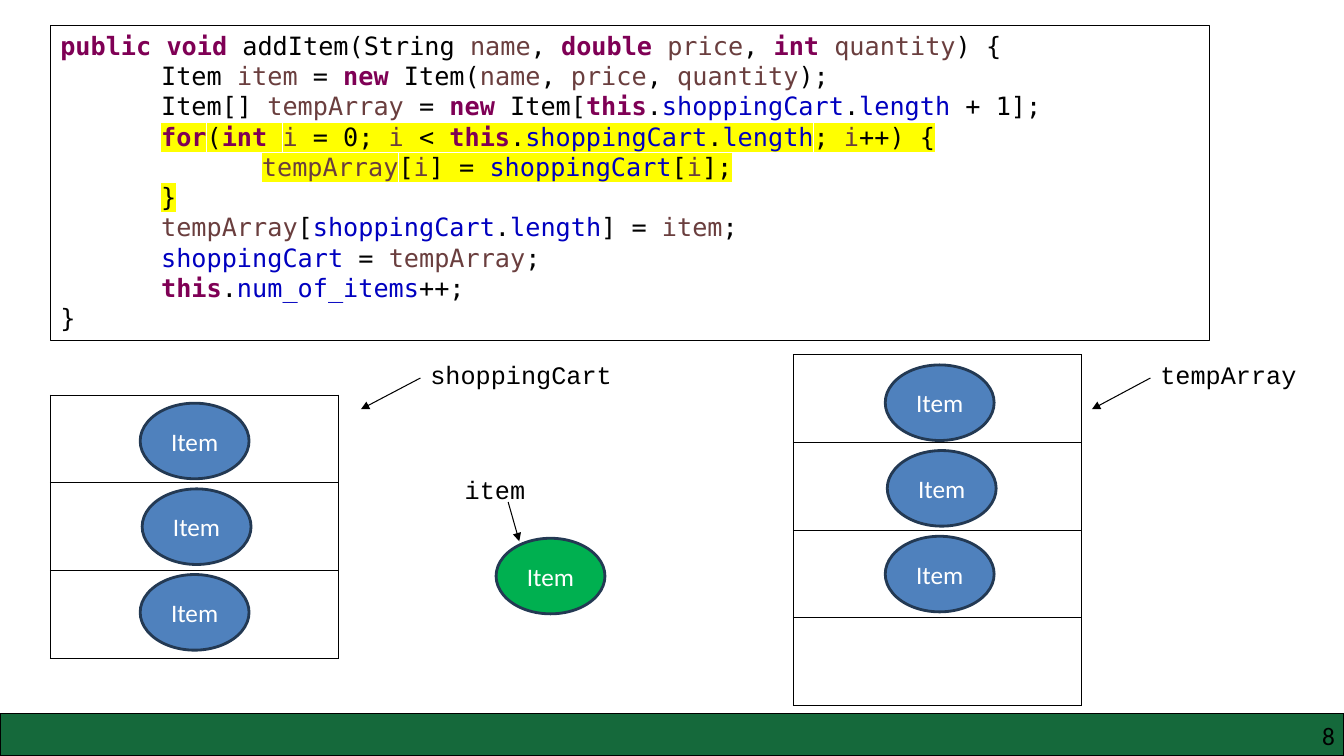
from itertools import groupby

from lxml import etree
from pptx import Presentation
from pptx.dml.color import RGBColor
from pptx.enum.shapes import MSO_CONNECTOR, MSO_SHAPE
from pptx.enum.text import MSO_ANCHOR, PP_ALIGN
from pptx.oxml import parse_xml
from pptx.oxml.ns import qn
from pptx.util import Pt

PX = 9144  # 100 px to the inch
RECT, OVAL = MSO_SHAPE.RECTANGLE, MSO_SHAPE.OVAL
LINE = MSO_CONNECTOR.STRAIGHT
LEFT, CENTER, RIGHT = PP_ALIGN.LEFT, PP_ALIGN.CENTER, PP_ALIGN.RIGHT
TOP, MIDDLE = MSO_ANCHOR.TOP, MSO_ANCHOR.MIDDLE
NS = 'xmlns:a="http://schemas.openxmlformats.org/drawingml/2006/main"'

BLACK, WHITE, YELLOW = "000000", "FFFFFF", "FFFF00"
BLUE, GREEN, NAVY, BAR = "4F81BD", "00B050", "233953", "15693B"
MONO, SANS, LABEL = "DejaVu Sans Mono", "Calibri", "Courier New"
ROW, TAB = 87, 100

CODE = """public void addItem(String name, double price, int quantity) {
\tItem item = new Item(name, price, quantity);
\tItem[] tempArray = new Item[this.shoppingCart.length + 1];
\tfor(int i = 0; i < this.shoppingCart.length; i++) {
\t\ttempArray[i] = shoppingCart[i];
\t}
\ttempArray[shoppingCart.length] = item;
\tshoppingCart = tempArray;
\tthis.num_of_items++;
}"""
MARKED = range(3, 6)
WORDS = {
    "7F0055": "public void double int new for this".split(),
    "6A3E3E": "name price quantity item tempArray i".split(),
    "0000C0": "shoppingCart length num_of_items".split(),
}
KEYWORD = "7F0055"
COLORS = {word: color for color, words in WORDS.items() for word in words}


def px(*sizes):
    return [size * PX for size in sizes]


def rgb(color):
    return RGBColor.from_string(color)


def write(para, text, face, color=BLACK, bold=False, mark=None):
    run = para.add_run()
    run.text = text
    for key, value in {"size": Pt(18), "name": face, "bold": bold}.items():
        setattr(run.font, key, value)
    run.font.color.rgb = rgb(color)
    if mark:
        fill = run._r.rPr.find(qn("a:solidFill"))
        fill.addnext(parse_xml(
            f'<a:highlight {NS}><a:srgbClr val="{mark}"/></a:highlight>'))


def add_tabs(para, count):
    tabs = etree.SubElement(para._p.get_or_add_pPr(), qn("a:tabLst"))
    for step in range(1, count + 1):
        etree.SubElement(tabs, qn("a:tab"), pos=str(step * TAB * PX), algn="l")


def add_shape(slide, kind, box, fill, line, width):
    shape = slide.shapes.add_shape(kind, *px(*box))
    shape.shadow.inherit = False
    if fill:
        shape.fill.solid()
        shape.fill.fore_color.rgb = rgb(fill)
    else:
        shape.fill.background()
    shape.line.color.rgb = rgb(line)
    shape.line.width = Pt(width)
    return shape


def add_code(slide, box):
    shape = add_shape(slide, RECT, box, None, BLACK, 0.75)
    frame = shape.text_frame
    frame.word_wrap = True
    frame.vertical_anchor = TOP
    for row, line in enumerate(CODE.split("\n")):
        para = frame.paragraphs[0] if row == 0 else frame.add_paragraph()
        para.alignment = LEFT
        body = line.lstrip("\t")
        depth = len(line) - len(body)
        if depth:
            add_tabs(para, depth)
            write(para, line[:depth], MONO)
        mark = YELLOW if row in MARKED else None
        for _, chars in groupby(body, lambda c: c.isalnum() or c == "_"):
            word = "".join(chars)
            color = COLORS.get(word, BLACK)
            write(para, word, MONO, color, color == KEYWORD, mark)


def add_oval(slide, x, y, fill=BLUE):
    shape = add_shape(slide, OVAL, (x, y, 108, 75), fill, NAVY, 2)
    frame = shape.text_frame
    frame.vertical_anchor = MIDDLE
    para = frame.paragraphs[0]
    para.alignment = CENTER
    write(para, "Item", SANS, WHITE)


def add_border(cell):
    props = cell._tc.get_or_add_tcPr()
    for spot, side in enumerate("LRTB"):
        props.insert(spot, parse_xml(
            f'<a:ln{side} {NS} w="12700"><a:solidFill>'
            f'<a:srgbClr val="{BLACK}"/></a:solidFill></a:ln{side}>'))


def add_array(slide, x, y, rows, shift, drop):
    """Draw a column of cells whose first three hold items."""
    table = slide.shapes.add_table(
        rows, 1, *px(x, y, 286, rows * ROW)).table
    table.first_row = table.horz_banding = False
    for row in range(rows):
        table.rows[row].height = ROW * PX
        cell = table.cell(row, 0)
        cell.fill.solid()
        cell.fill.fore_color.rgb = rgb(WHITE)
        add_border(cell)
    for step in range(3):
        add_oval(slide, x + shift + step % 2 * 2, y + drop + step * 85)


def add_text(slide, box, text, face, align=LEFT, wrap=False, inset=None):
    frame = slide.shapes.add_textbox(*px(*box)).text_frame
    frame.word_wrap = wrap
    if inset is not None:
        for side in ("left", "top", "right", "bottom"):
            setattr(frame, f"margin_{side}", inset)
    frame.paragraphs[0].alignment = align
    write(frame.paragraphs[0], text, face)


def add_label(slide, box, text, start, end):
    """Write a name with an arrow, whose ends count from the box corner."""
    x, y = box[:2]
    add_text(slide, box, text, LABEL)
    arrow = slide.shapes.add_connector(
        LINE, *px(x + start[0], y + start[1], x + end[0], y + end[1]))
    arrow.line.color.rgb = rgb(BLACK)
    arrow.line.width = Pt(0.75)
    props = arrow._element.spPr
    etree.SubElement(props.find(qn("a:ln")), qn("a:tailEnd"), type="triangle")
    etree.SubElement(props, qn("a:effectLst"))


def add_footer(slide, x, y, wide, high):
    add_shape(slide, RECT, (x, y, wide, high), BAR, BLACK, 1)
    add_text(slide, (x + wide - 316, y + 7, 307, 30), "8", SANS,
             RIGHT, True, 0)


def main():
    deck = Presentation()
    deck.slide_width, deck.slide_height = px(1333, 750)
    slide = deck.slides.add_slide(deck.slide_layouts[6])
    add_footer(slide, 0, 708, 1333, 42)
    add_code(slide, (50, 25, 1150, 313))
    add_array(slide, 50, 392, 3, 89, 8)
    add_array(slide, 787, 352, 4, 91, 10)
    add_oval(slide, 492, 534, GREEN)
    add_label(slide, (417, 352, 201, 40), "shoppingCart", (0, 23), (-59, 54))
    add_label(slide, (451, 466, 81, 40), "item", (53, 32), (64, 71))
    add_label(slide, (1141, 352, 156, 40), "tempArray", (0, 23), (-58, 54))
    deck.save("out.pptx")


if __name__ == "__main__":
    main()
